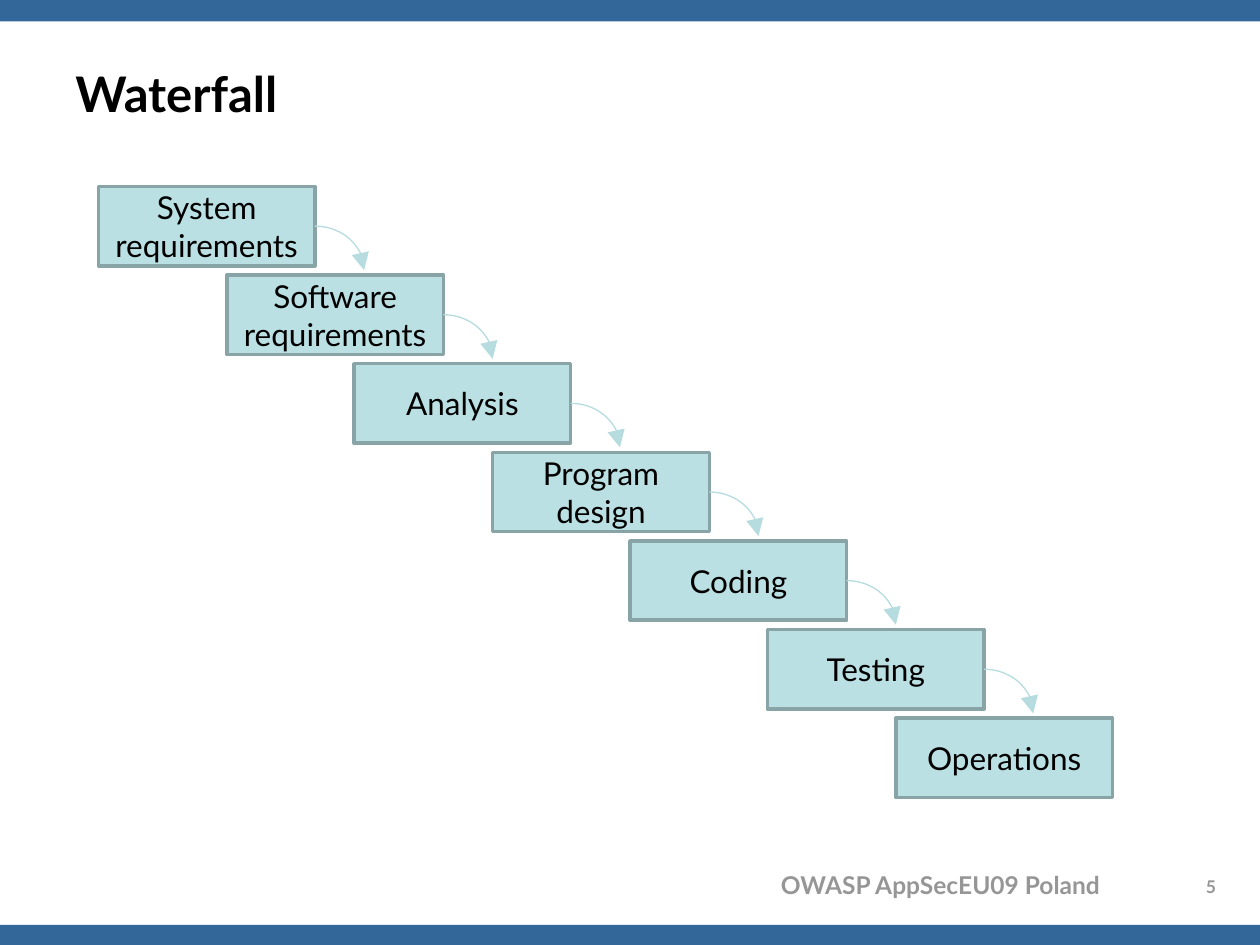
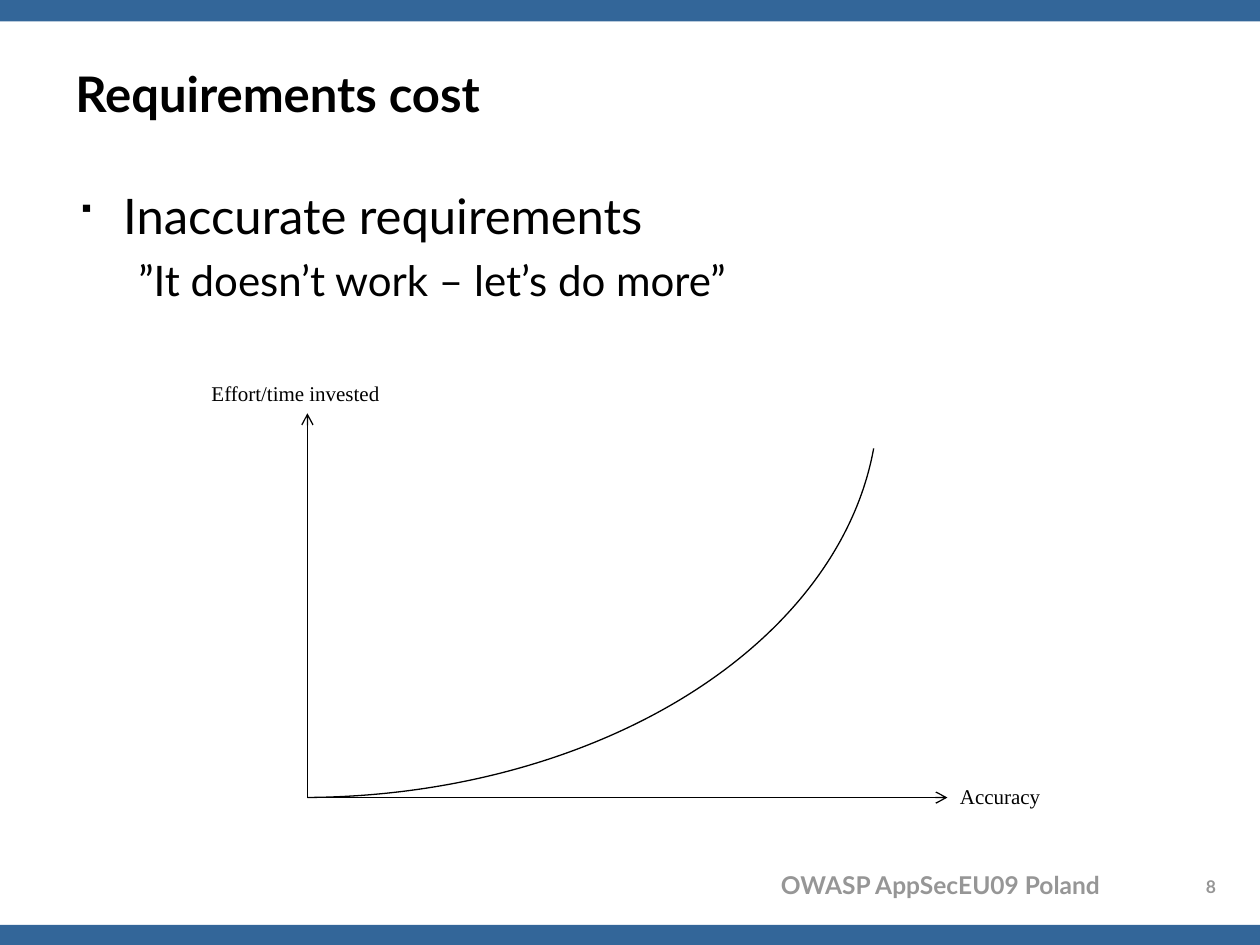
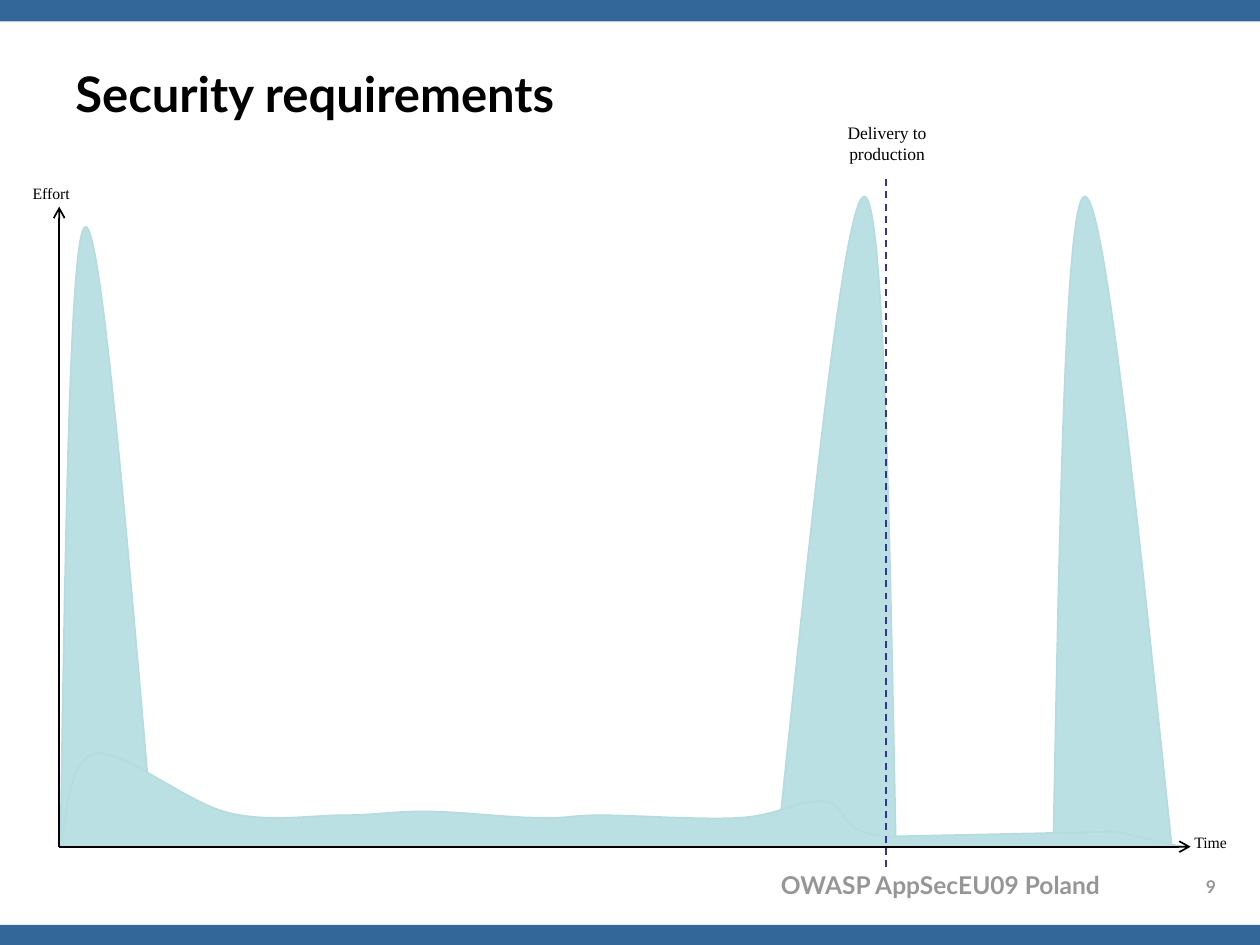
from dataclasses import dataclass

from lxml import etree
from pptx import Presentation
from pptx.dml.color import RGBColor
from pptx.enum.dml import MSO_LINE
from pptx.enum.shapes import MSO_CONNECTOR, MSO_SHAPE
from pptx.enum.text import MSO_ANCHOR, PP_ALIGN
from pptx.oxml.ns import qn
from pptx.util import Inches, Pt

STRAIGHT = MSO_CONNECTOR.STRAIGHT
RECTANGLE, ARC = MSO_SHAPE.RECTANGLE, MSO_SHAPE.ARC
DASH = MSO_LINE.DASH
TOP, MIDDLE = MSO_ANCHOR.TOP, MSO_ANCHOR.MIDDLE
LEFT, CENTER, RIGHT = PP_ALIGN.LEFT, PP_ALIGN.CENTER, PP_ALIGN.RIGHT


@dataclass(frozen=True)
class Theme:
    font: str = "Lato"
    label_font: str = "Times New Roman"
    bullet_font: str = "Wingdings"
    ink: str = "000000"
    band: str = "336699"
    muted: str = "969696"
    fill: str = "BBE0E3"
    border: str = "89A4A7"
    edge: str = "B6DCDF"
    marker: str = "333399"
    title: int = 28
    body: int = 28
    quote: int = 24
    step: int = 18
    footer: int = 14
    number: int = 10
    cost_label: int = 12
    delivery_label: int = 10
    axis_label: int = 9


@dataclass(frozen=True)
class Box:
    left: float
    top: float
    width: float
    height: float

    def lengths(self):
        return [Inches(v) for v in (self.left, self.top, self.width, self.height)]

    def point(self, across, up):
        """Position measured from the lower left corner."""
        return Inches(self.left + across), Inches(self.top + self.height - up)


THEME = Theme()


# Basic parts

def style_text(paragraph, size, color=THEME.ink, bold=False, font=THEME.font,
               align=LEFT):
    paragraph.alignment = align
    for run in paragraph.runs:
        run.font.size = Pt(size)
        run.font.name = font
        run.font.bold = bold
        run.font.color.rgb = RGBColor.from_string(color)


def add_text(slide, box, text, size, anchor=TOP, **style):
    shape = slide.shapes.add_textbox(*box.lengths())
    frame = shape.text_frame
    frame.word_wrap = True
    frame.vertical_anchor = anchor
    frame.text = text
    style_text(frame.paragraphs[0], size, **style)
    return frame


def style_line(line, color, width):
    line.color.rgb = RGBColor.from_string(color)
    line.width = Pt(width)


def style_shape(shape, fill=None, line=None, width=1):
    shape.shadow.inherit = False
    if fill:
        shape.fill.solid()
        shape.fill.fore_color.rgb = RGBColor.from_string(fill)
    else:
        shape.fill.background()
    if line:
        style_line(shape.line, line, width)
    else:
        shape.line.fill.background()


def add_arrowhead(shape, kind, size="med"):
    outline = shape._element.spPr.find(qn("a:ln"))
    etree.SubElement(outline, qn("a:tailEnd"), type=kind, w=size, len=size)


def add_line(slide, start, end, color, width):
    connector = slide.shapes.add_connector(STRAIGHT, *start, *end)
    style_line(connector.line, color, width)
    etree.SubElement(connector._element.spPr, qn("a:effectLst"))
    return connector


def add_rectangle(slide, box, fill, line=None, width=1):
    shape = slide.shapes.add_shape(RECTANGLE, *box.lengths())
    style_shape(shape, fill, line, width)
    return shape


def add_arc(slide, box, color, width):
    arc = slide.shapes.add_shape(ARC, *box.lengths())
    style_shape(arc, line=color, width=width)
    return arc


# Plot parts

def add_area(slide, plot, start, curves, tail=()):
    """Draw cubic curves (two controls and an end each), then straight lines."""
    points = [point for curve in curves for point in curve] + list(tail)
    builder = slide.shapes.build_freeform(*plot.point(*start), scale=1.0)
    builder.add_line_segments([plot.point(*point) for point in points], close=False)
    shape = builder.convert_to_shape()
    # Join each three segments of a curve into one cubic segment
    segments = list(shape._element.iter(qn("a:lnTo")))
    for index in range(0, 3 * len(curves), 3):
        cubic = etree.Element(qn("a:cubicBezTo"))
        segments[index].addprevious(cubic)
        for segment in segments[index:index + 3]:
            cubic.append(segment[0])
            segment.getparent().remove(segment)
    style_shape(shape, THEME.fill, THEME.edge, 1)


def add_axes(slide, plot, width):
    for end in ((plot.width, 0), (0, plot.height)):
        axis = add_line(slide, plot.point(0, 0), plot.point(*end), THEME.ink, width)
        add_arrowhead(axis, "arrow")


def add_peak(slide, plot, steep_foot, apex, far_foot, height):
    steep, gentle = apex - steep_foot, far_foot - apex
    add_area(slide, plot, (steep_foot, 0), [
        ((steep_foot + 0.2 * steep, height / 2),
         (steep_foot + 0.38 * steep, height), (apex, height)),
        ((apex + 0.23 * gentle, height),
         (apex + 0.61 * gentle, height / 2), (far_foot, 0))])


# Shared frame: bands, footer, title, slide number

def add_framed_slide(presentation, title, number):
    slide = presentation.slides.add_slide(presentation.slide_layouts[6])
    for top, height in ((0, 0.17), (7.34, 0.16)):
        add_rectangle(slide, Box(0, top, 10, height), THEME.band)
    add_text(slide, Box(5.5, 6.86, 3.33, 0.34), "OWASP AppSecEU09 Poland",
             THEME.footer, color=THEME.muted, bold=True, align=RIGHT)
    add_text(slide, Box(0.5, 0.3, 9, 0.87), title, THEME.title, MIDDLE, bold=True)
    add_text(slide, Box(9.39, 6.9, 0.44, 0.25), str(number), THEME.number,
             color=THEME.muted, bold=True, align=CENTER)
    return slide


# Waterfall

STEPS = [("System requirements", 0), ("Software requirements", 1.02),
         ("Analysis", 2.03), ("Program design", 3.13), ("Coding", 4.22),
         ("Testing", 5.31), ("Operations", 6.33)]


def add_waterfall(slide, area):
    width, height = 1.72, 0.63
    pitch = (area.height - height) / (len(STEPS) - 1)
    for index, (name, offset) in enumerate(STEPS):
        box = Box(area.left + offset, area.top + index * pitch, width, height)
        step = add_rectangle(slide, box, THEME.fill, THEME.border, 2)
        frame = step.text_frame
        frame.word_wrap = True
        frame.vertical_anchor = MIDDLE
        frame.text = name
        style_text(frame.paragraphs[0], THEME.step, align=CENTER)
    # Arrows leave the middle of each right side
    for index, (_, offset) in enumerate(STEPS[:-1]):
        arc_box = Box(area.left + offset + width - 0.39,
                      area.top + index * pitch + height / 2, 0.78, 0.7)
        arrow = add_arc(slide, arc_box, THEME.edge, 0.75)
        add_arrowhead(arrow, "triangle", "lg")


# Requirements cost

def indent(paragraph, margin, hanging):
    properties = paragraph._p.get_or_add_pPr()
    properties.set("marL", str(Inches(margin)))
    properties.set("indent", str(-Inches(hanging)))
    return properties


def add_statement(slide, box):
    frame = add_text(slide, box, "Inaccurate requirements", THEME.body)
    properties = indent(frame.paragraphs[0], 0.38, 0.38)
    etree.SubElement(properties, qn("a:buFont"), typeface=THEME.bullet_font)
    etree.SubElement(properties, qn("a:buChar"), char="■")
    quote = frame.add_paragraph()
    quote.text = "”It doesn’t work – let’s do more”"
    quote.level = 1
    quote.space_before = Pt(6)
    etree.SubElement(indent(quote, 0.81, 0.31), qn("a:buNone"))
    style_text(quote, THEME.quote)


def add_cost_plot(slide, plot):
    add_axes(slide, plot, 0.75)
    # Growth curve: lower right quarter of an ellipse, angles in degrees
    ellipse = Box(plot.left - 4.61, plot.top - 3.28, 9.14, 6.33)
    growth = add_arc(slide, ellipse, THEME.ink, 0.75)
    for index, degrees in enumerate((4.97, 89.28)):
        growth.adjustments[index] = degrees * 0.6
    # Labels
    right, bottom = plot.left + plot.width, plot.top + plot.height
    for text, box in (
            ("Effort/time invested", Box(plot.left - 0.86, plot.top - 0.31, 1.72, 0.3)),
            ("Accuracy", Box(right, bottom - 0.16, 1.02, 0.3))):
        add_text(slide, box, text, THEME.cost_label, font=THEME.label_font)


# Security requirements

PEAKS = [(0.01, 0.21, 0.75, 4.92), (6.64, 6.39, 5.7, 5.16),
         (7.89, 8.14, 8.83, 5.16)]
BASELINE = [
    ((0.06, 0.15), (0.06, 0.69), (0.28, 0.74)),
    ((0.5, 0.78), (1.01, 0.35), (1.34, 0.27)),
    ((1.67, 0.19), (1.99, 0.25), (2.25, 0.25)),
    ((2.51, 0.25), (2.64, 0.28), (2.9, 0.28)),
    ((3.16, 0.28), (3.57, 0.23), (3.8, 0.23)),
    ((4.04, 0.22), (4.03, 0.25), (4.3, 0.25)),
    ((4.57, 0.25), (5.12, 0.21), (5.41, 0.23)),
    ((5.71, 0.25), (5.89, 0.38), (6.08, 0.36)),
    ((6.27, 0.33), (6.15, 0.12), (6.56, 0.08)),
]
BASELINE_END = [(8.38, 0.12), (8.91, 0)]


def add_effort_plot(slide, plot):
    for peak in PEAKS:
        add_peak(slide, plot, *peak)
    add_area(slide, plot, (0, 0), BASELINE, BASELINE_END)
    # Labels
    delivery = 6.56
    bottom = plot.top + plot.height
    for text, size, align, box in (
            ("Effort", THEME.axis_label, LEFT,
             Box(plot.left - 0.31, plot.top - 0.23, 0.62, 0.25)),
            ("Time", THEME.axis_label, LEFT,
             Box(plot.left + 8.91, bottom - 0.16, 0.62, 0.25)),
            ("Delivery to production", THEME.delivery_label, CENTER,
             Box(plot.left + delivery - 0.61, plot.top - 0.72, 1.24, 0.44))):
        add_text(slide, box, text, size, font=THEME.label_font, align=align)
    # Axes and delivery marker
    add_axes(slide, plot, 1)
    marker = add_line(slide, plot.point(delivery, -0.16),
                      plot.point(delivery, 5.31), THEME.marker, 1)
    marker.line.dash_style = DASH


def main():
    presentation = Presentation()
    presentation.slide_width = Inches(10)
    presentation.slide_height = Inches(7.5)

    waterfall = add_framed_slide(presentation, "Waterfall", 5)
    add_waterfall(waterfall, Box(0.78, 1.48, 8.05, 4.85))

    cost = add_framed_slide(presentation, "Requirements cost", 8)
    add_statement(cost, Box(0.5, 1.42, 9, 5.28))
    add_cost_plot(cost, Box(2.44, 3.28, 5.08, 3.05))

    security = add_framed_slide(presentation, "Security requirements", 9)
    add_effort_plot(security, Box(0.47, 1.64, 8.98, 5.08))

    presentation.save("out.pptx")


if __name__ == "__main__":
    main()
